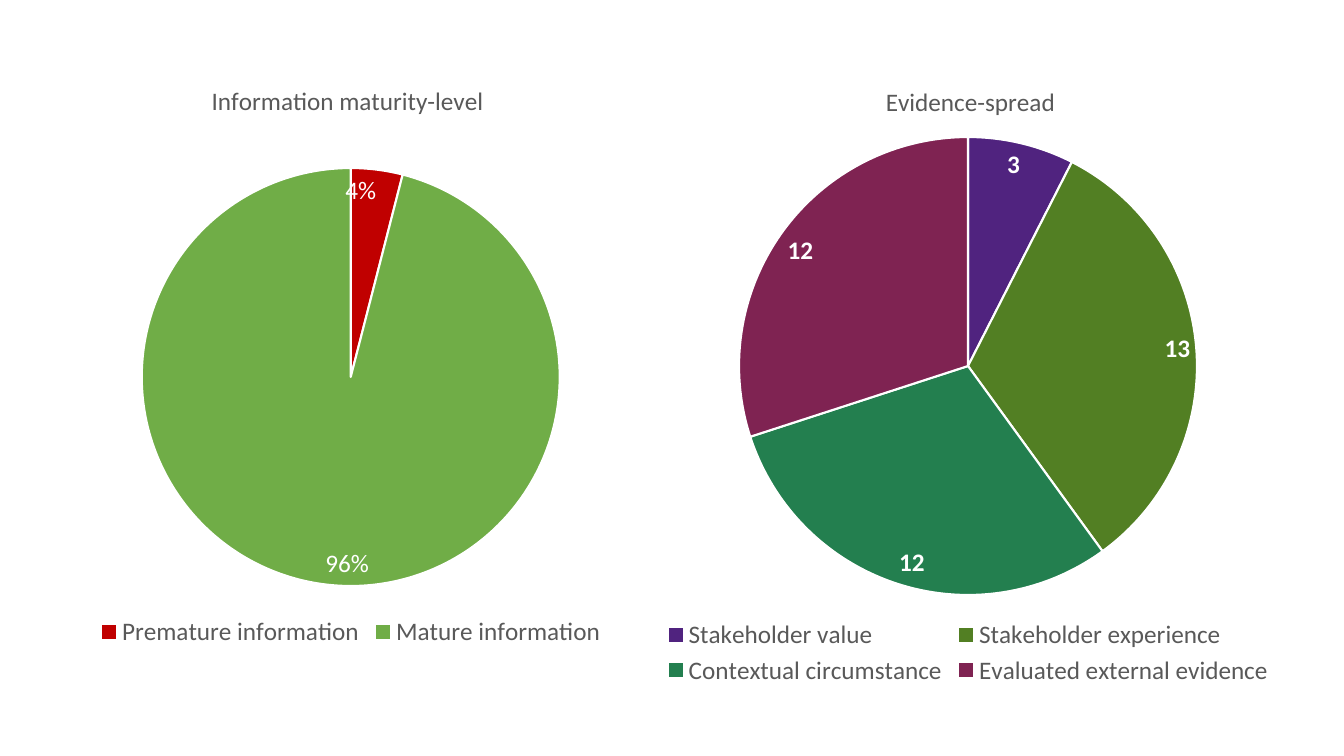
"""Build a slide with two pie charts on information maturity and evidence spread."""
from dataclasses import dataclass

from pptx import Presentation
from pptx.chart.data import CategoryChartData
from pptx.dml.color import RGBColor
from pptx.enum.chart import XL_CHART_TYPE, XL_LABEL_POSITION, XL_LEGEND_POSITION
from pptx.oxml import parse_xml
from pptx.oxml.ns import nsdecls, qn
from pptx.util import Cm, Pt


@dataclass(frozen=True)
class Theme:
    font: str = "Calibri"
    size: int = 18
    edge: float = 1.5
    white: str = "FFFFFF"
    grey: str = "595959"
    violet: str = "50237F"
    olive: str = "527F23"
    teal: str = "237F4F"
    plum: str = "7F2352"
    red: str = "C00000"
    green: str = "70AD47"


def style(font, color, bold=False):
    """Apply the theme type to a chart font."""
    looks = {"name": theme.font, "size": Pt(theme.size), "bold": bold}
    for key, value in looks.items():
        setattr(font, key, value)
    font.color.rgb = RGBColor.from_string(color)


def place(parent, index, target="", **spots):
    """Give a chart part a manual layout in fractions of the chart."""
    for old in parent.findall(qn("c:layout")):
        parent.remove(old)
    inner = f'<c:layoutTarget val="{target}"/>' if target else ""
    modes = "".join(f'<c:{key}Mode val="edge"/>' for key in "xy")
    sizes = "".join(f'<c:{key} val="{value}"/>' for key, value in spots.items())
    parent.insert(index, parse_xml(
        f'<c:layout {nsdecls("c")}><c:manualLayout>{inner}{modes}{sizes}'
        "</c:manualLayout></c:layout>"))


theme = Theme()
deck = Presentation()
deck.slide_width, deck.slide_height = Cm(33.87), Cm(19.05)
slide = deck.slides.add_slide(deck.slide_layouts[6])

pies = [
    {
        "title": "Evidence-spread",
        "box": (15.29, 1.37, 18.21, 16.03),
        "slices": [
            ("Stakeholder value", 3, theme.violet),
            ("Stakeholder experience", 13, theme.olive),
            ("Contextual circumstance", 12, theme.teal),
            ("Evaluated external evidence", 12, theme.plum),
        ],
        "format": "0",
        "bold": True,
        "head": {"x": 0.38, "y": 0.04},
        "plot": {"x": 0.18, "y": 0.13, "w": 0.64, "h": 0.72},
    },
    {
        "title": "Information maturity-level",
        "box": (0.61, 1.37, 16.46, 15.06),
        "slices": [
            ("Premature information", 4, theme.red),
            ("Mature information", 96, theme.green),
        ],
        "format": '0"%"',
        "bold": False,
        "head": {"x": 0.28, "y": 0.04},
        "plot": {"x": 0.18, "y": 0.19, "w": 0.64, "h": 0.7},
    },
]

for pie in pies:
    names, values, colors = zip(*pie["slices"])
    data = CategoryChartData()
    data.categories = names
    data.add_series("Series 1", values)
    box = map(Cm, pie["box"])
    chart = slide.shapes.add_chart(XL_CHART_TYPE.PIE, *box, data).chart
    style(chart.font, theme.grey)

    chart.has_title = True
    title = chart.chart_title
    title.include_in_layout = False
    title.text_frame.text = pie["title"]
    style(title.text_frame.paragraphs[0].runs[0].font, theme.grey)
    place(title._element, 1, **pie["head"])

    chart.has_legend = True
    legend = chart.legend
    legend.position = XL_LEGEND_POSITION.BOTTOM
    legend.include_in_layout = False
    style(legend.font, theme.grey)

    plot = chart.plots[0]
    plot.vary_by_categories = True
    place(chart._chartSpace.chart.plotArea, 0, "inner", **pie["plot"])
    for index, color in enumerate(colors):
        wedge = plot.series[0].points[index].format
        wedge.fill.solid()
        wedge.fill.fore_color.rgb = RGBColor.from_string(color)
        wedge.line.color.rgb = RGBColor.from_string(theme.white)
        wedge.line.width = Pt(theme.edge)

    plot.has_data_labels = True
    labels = plot.data_labels
    looks = {
        "show_value": True,
        "show_percentage": False,
        "number_format": pie["format"],
        "number_format_is_linked": False,
        "position": XL_LABEL_POSITION.INSIDE_END,
    }
    for key, value in looks.items():
        setattr(labels, key, value)
    style(labels.font, theme.white, pie["bold"])

deck.save("out.pptx")
